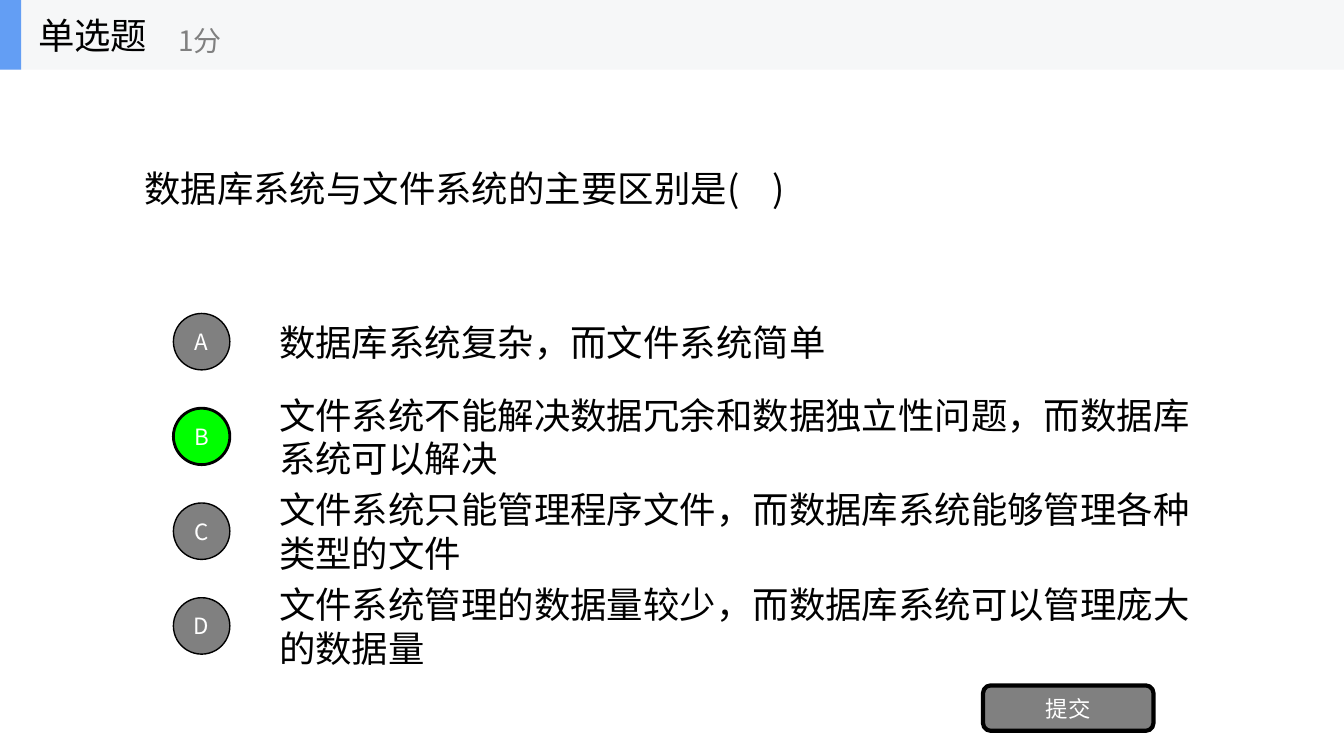
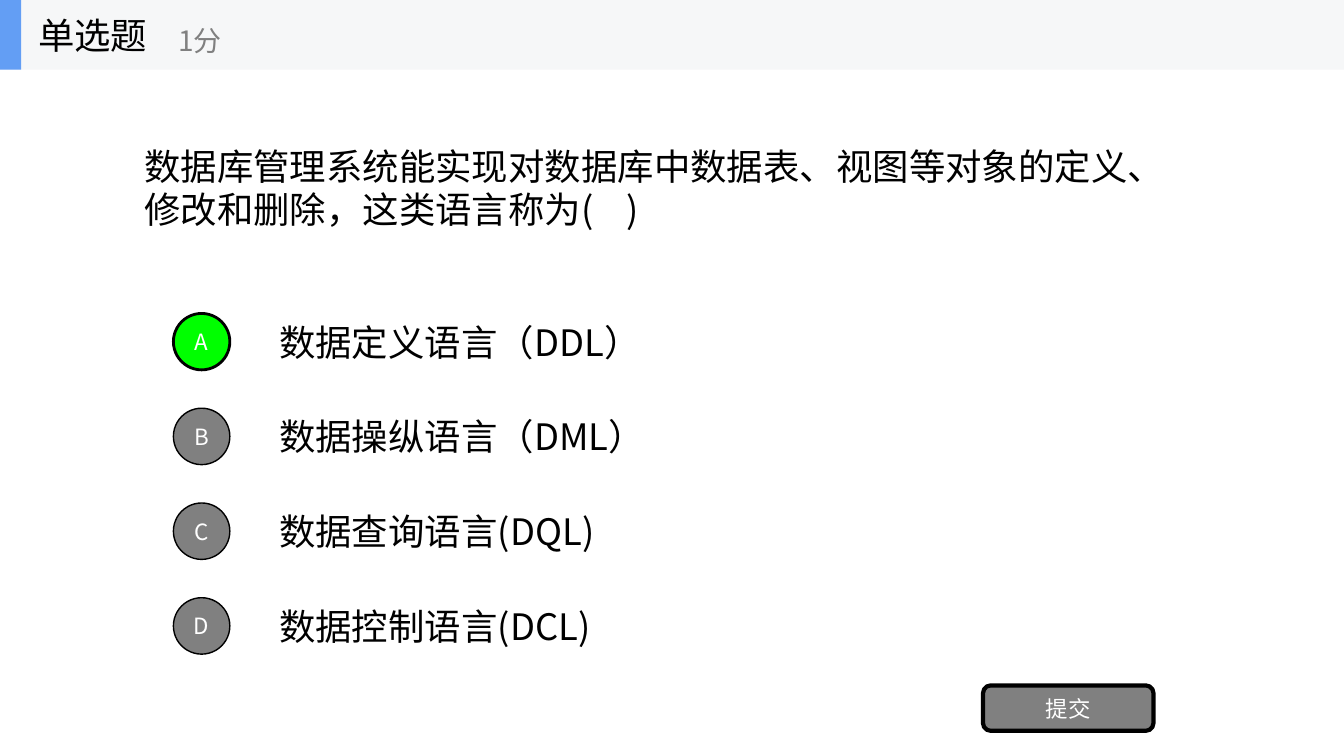
from pptx import Presentation
from pptx.dml.color import RGBColor
from pptx.enum.shapes import MSO_SHAPE
from pptx.enum.text import MSO_ANCHOR, MSO_AUTO_SIZE, PP_ALIGN
from pptx.oxml.ns import qn
from pptx.util import Inches, Pt
from lxml.etree import SubElement

FONT = "Noto Sans CJK SC"
BLACK, WHITE, GRAY, GREEN = "000000", "FFFFFF", "808080", "00FF00"
BAND, ACCENT = "F6F7F8", "639EF4"
SLIDE_WIDTH, SLIDE_HEIGHT = 13.33, 7.5
HEADER_HEIGHT = 0.69
OPTION_TOP, OPTION_PITCH, OPTION_HEIGHT = 3.04, 0.94, 0.7
BADGE_SIZE = 0.56

QUESTIONS = [
    ("数据库系统与文件系统的主要区别是(    )",
     ["数据库系统复杂，而文件系统简单",
      "文件系统不能解决数据冗余和数据独立性问题，而数据库系统可以解决",
      "文件系统只能管理程序文件，而数据库系统能够管理各种类型的文件",
      "文件系统管理的数据量较少，而数据库系统可以管理庞大的数据量"],
     "B"),
    ("数据库管理系统能实现对数据库中数据表、视图等对象的定义、修改和删除，这类语言称为(    )",
     ["数据定义语言（DDL）",
      "数据操纵语言（DML）",
      "数据查询语言(DQL)",
      "数据控制语言(DCL)"],
     "A"),
]


def rgb(color):
    return RGBColor.from_string(color)


def inches(*lengths):
    return [Inches(length) for length in lengths]


def write(shape, text, size, color, align=PP_ALIGN.LEFT, wrap=True):
    frame = shape.text_frame
    frame.word_wrap = wrap
    frame.auto_size = MSO_AUTO_SIZE.NONE
    frame.vertical_anchor = MSO_ANCHOR.MIDDLE
    paragraph = frame.paragraphs[0]
    paragraph.alignment = align
    run = paragraph.add_run()
    run.text = text
    run.font.size = Pt(size)
    run.font.color.rgb = rgb(color)
    run.font.name = FONT
    SubElement(run.font._element, qn("a:ea")).set("typeface", FONT)


def add_text(shapes, box, text, size, color, wrap=True):
    write(shapes.add_textbox(*inches(*box)), text, size, color, wrap=wrap)


def add_panel(shapes, preset, box, fill, line_width=0):
    """Add a filled shape, outlined in black when line_width is given."""
    panel = shapes.add_shape(preset, *inches(*box))
    panel.shadow.inherit = False
    panel.fill.solid()
    panel.fill.fore_color.rgb = rgb(fill)
    if line_width:
        panel.line.color.rgb = rgb(BLACK)
        panel.line.width = Pt(line_width)
    else:
        panel.line.fill.background()
    return panel


def add_button(shapes, preset, box, label, fill, line_width):
    button = add_panel(shapes, preset, box, fill, line_width)
    frame = button.text_frame
    frame.margin_left = frame.margin_right = 0
    frame.margin_top = frame.margin_bottom = 0
    write(button, label, 16, WHITE, PP_ALIGN.CENTER, wrap=False)


def add_header(slide):
    header = slide.shapes.add_group_shape().shapes
    add_panel(header, MSO_SHAPE.RECTANGLE, (0, 0, SLIDE_WIDTH, HEADER_HEIGHT), BAND)
    add_panel(header, MSO_SHAPE.RECTANGLE, (0, 0, 0.21, HEADER_HEIGHT), ACCENT)
    add_text(header, (0.28, 0, 2.08, HEADER_HEIGHT), "单选题", 26, BLACK, wrap=False)
    add_text(header, (1.67, 0.12, 2.5, 0.56), "1分", 20, GRAY, wrap=False)


def add_question(slide, question):
    title = slide.shapes.title
    title.left, title.top, title.width, title.height = inches(
        1.33, HEADER_HEIGHT, 10.67, 2.34)
    write(title, question, 26, BLACK)


def add_option(slide, index, letter, option, is_answer):
    top = OPTION_TOP + index * OPTION_PITCH
    badge_top = top + (OPTION_HEIGHT - BADGE_SIZE) / 2
    add_text(slide.shapes, (2.67, top, 9.33, OPTION_HEIGHT), option, 26, BLACK)
    add_button(slide.shapes, MSO_SHAPE.OVAL, (1.72, badge_top, BADGE_SIZE, BADGE_SIZE),
               letter, GREEN if is_answer else GRAY, 2 if is_answer else 1)


def add_quiz_slide(prs, question, options, answer):
    slide = prs.slides.add_slide(prs.slide_layouts[5])
    add_header(slide)
    add_question(slide, question)
    for index, (letter, option) in enumerate(zip("ABCD", options)):
        add_option(slide, index, letter, option, letter == answer)
    add_button(slide.shapes, MSO_SHAPE.ROUNDED_RECTANGLE, (9.75, 6.8, 1.69, 0.45),
               "提交", GRAY, 3)


def main():
    prs = Presentation()
    prs.slide_width, prs.slide_height = inches(SLIDE_WIDTH, SLIDE_HEIGHT)
    for question, options, answer in QUESTIONS:
        add_quiz_slide(prs, question, options, answer)
    prs.save("out.pptx")


if __name__ == "__main__":
    main()
